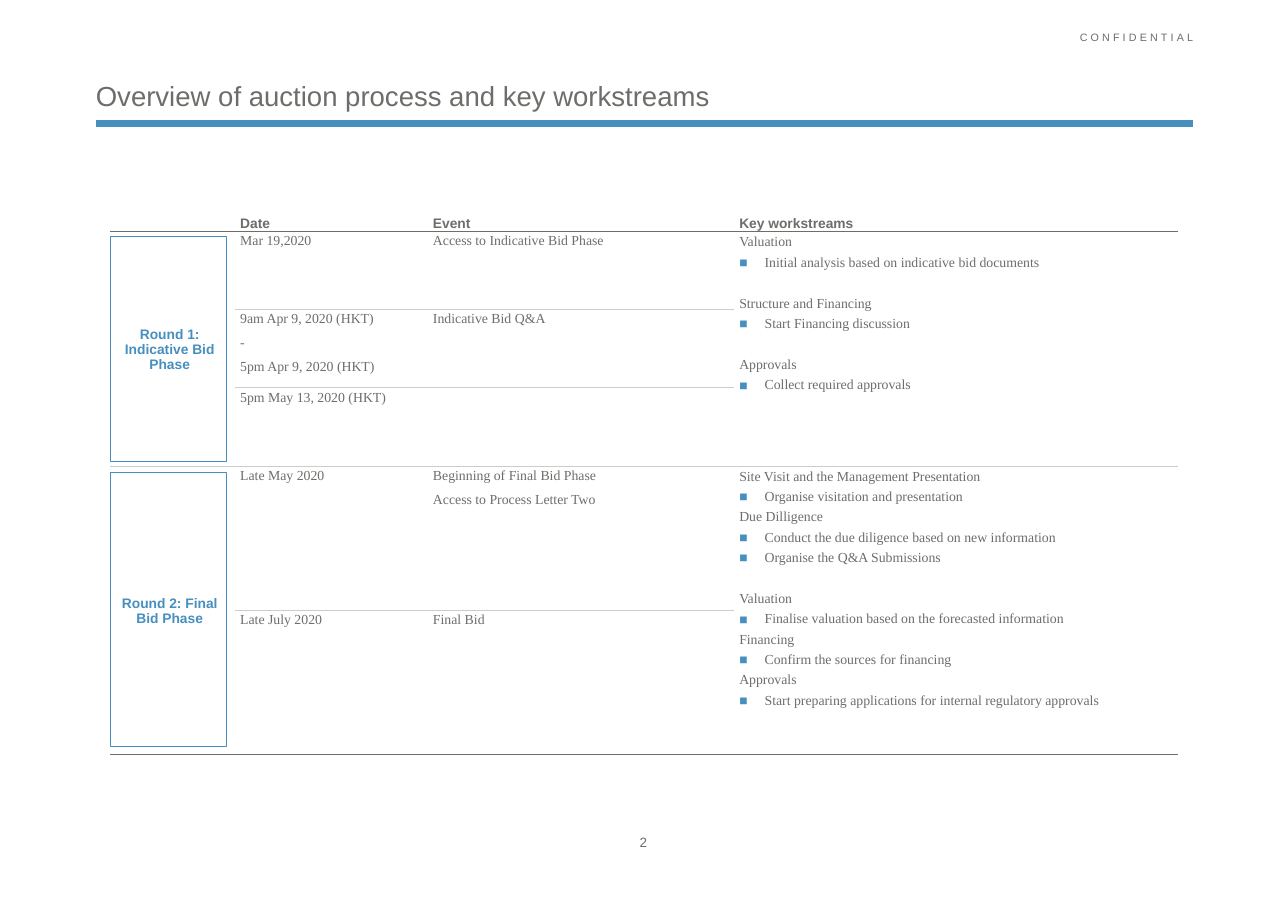
from dataclasses import dataclass

from lxml.etree import SubElement
from pptx import Presentation
from pptx.dml.color import RGBColor
from pptx.enum.shapes import MSO_CONNECTOR as Connector, MSO_SHAPE as Preset
from pptx.enum.text import MSO_ANCHOR as Anchor, MSO_AUTO_SIZE as AutoSize, PP_ALIGN as Align
from pptx.oxml.ns import qn
from pptx.util import Inches, Pt


@dataclass(frozen=True)
class Theme:
    """Colours, fonts and type sizes."""
    text: str = "6D6E6A"
    accent: str = "478FBF"
    rule: str = "CCCDCB"
    sans: str = "Arial"
    serif: str = "Times New Roman"
    title: float = 18
    body: float = 9
    number: float = 8.8
    tag: float = 7
    before: float = 2.6
    after: float = 3
    leading: float = 1.07
    blank_line: float = 13.6


@dataclass(frozen=True)
class Workstream:
    """A workstream heading with its tasks; apart leaves a line above it."""
    heading: str
    tasks: tuple[str, ...]
    apart: bool = False


@dataclass(frozen=True)
class Step:
    """One dated step of a round."""
    dates: tuple[str, ...]
    events: tuple[str, ...] = ()


@dataclass(frozen=True)
class Round:
    """One phase of the auction, with the top and height of its frame."""
    name: str
    steps: tuple[Step, ...]
    workstreams: tuple[Workstream, ...]
    frame_top: float
    frame_height: float


THEME = Theme()
LEFT, TOP = 1, 1.91
COLUMNS = (1.13, 1.75, 2.78, 4.03)
ROWS = (0.19, 0.71, 0.71, 0.71, 1.31, 1.31)
HEADERS = ("", "Date", "Event", "Key workstreams")
ROUNDS = (
    Round("Round 1: Indicative Bid Phase", (
        Step(("Mar 19,2020",), ("Access to Indicative Bid Phase",)),
        Step(("9am Apr 9, 2020 (HKT)", "-", "5pm Apr 9, 2020 (HKT)"), ("Indicative Bid Q&A",)),
        Step(("5pm May 13, 2020 (HKT)",)),
    ), (
        Workstream("Valuation", ("Initial analysis based on indicative bid documents",)),
        Workstream("Structure and Financing", ("Start Financing discussion",), True),
        Workstream("Approvals", ("Collect required approvals",), True),
    ), 2.15, 2.04),
    Round("Round 2: Final Bid Phase", (
        Step(("Late May 2020",), ("Beginning of Final Bid Phase", "Access to Process Letter Two")),
        Step(("Late July 2020",), ("Final Bid",)),
    ), (
        Workstream("Site Visit and the Management Presentation",
                   ("Organise visitation and presentation",)),
        Workstream("Due Dilligence", ("Conduct the due diligence based on new information",
                                      "Organise the Q&A Submissions")),
        Workstream("Valuation", ("Finalise valuation based on the forecasted information",), True),
        Workstream("Financing", ("Confirm the sources for financing",)),
        Workstream("Approvals",
                   ("Start preparing applications for internal regulatory approvals",)),
    ), 4.29, 2.49),
)


def add_span(para, text: str, size: float, font: str, color: str = THEME.text, bold: bool = False):
    """Add one formatted run to a paragraph."""
    span = para.add_run()
    span.text = text
    span.font.size, span.font.name, span.font.bold = Pt(size), font, bold
    span.font.color.rgb = RGBColor.from_string(color)
    return span


def next_para(frame):
    """Return the unused first paragraph of a frame, or a new one."""
    first = frame.paragraphs[0]
    return frame.add_paragraph() if first.runs else first


def clear_insets(frame, anchor) -> None:
    """Remove the insets of a text frame and anchor its text."""
    frame.margin_left = frame.margin_right = frame.margin_top = frame.margin_bottom = 0
    frame.vertical_anchor = anchor
    frame.auto_size = AutoSize.NONE


def add_label(page, at: tuple, text: str, size: float, align, anchor, wrap: bool = True):
    """Add a one-line text box and return its run."""
    box = page.shapes.add_textbox(*map(Inches, at))
    clear_insets(box.text_frame, anchor)
    box.text_frame.word_wrap = wrap
    para = box.text_frame.paragraphs[0]
    para.alignment, para.line_spacing = align, THEME.leading
    return add_span(para, text, size, THEME.sans)


def add_bullet(para) -> None:
    """Give a paragraph a hanging square bullet."""
    props = para._p.get_or_add_pPr()
    props.set("marL", str(Inches(0.23)))
    props.set("indent", str(-Inches(0.23)))
    SubElement(SubElement(props, qn("a:buClr")), qn("a:srgbClr"), val=THEME.accent)
    SubElement(props, qn("a:buFont"), typeface=THEME.sans)
    SubElement(props, qn("a:buChar"), char="■")


def write_lines(cell, lines: tuple[str, ...]) -> None:
    """Write plain table lines into a cell."""
    for line in lines:
        para = next_para(cell.text_frame)
        para.space_before, para.space_after = Pt(THEME.before), Pt(THEME.after)
        add_span(para, line, THEME.body, THEME.serif)


def write_workstreams(cell, workstreams: tuple[Workstream, ...]) -> None:
    """Write headings and bulleted tasks into a cell."""
    for stream in workstreams:
        for index, line in enumerate((stream.heading, *stream.tasks)):
            para = next_para(cell.text_frame)
            para.line_spacing = THEME.leading
            gap = THEME.blank_line if stream.apart and index == 0 else 0
            para.space_before = Pt(THEME.before + gap)
            if index:
                add_bullet(para)
            add_span(para, line, THEME.body, THEME.serif)


def style_cell(cell, rule: str) -> None:
    """Set insets, bottom rule and empty fill of a cell."""
    cell.margin_left, cell.margin_right = Inches(0.05), Inches(0.1)
    cell.margin_top, cell.margin_bottom = Inches(0.02), 0
    line = SubElement(cell._tc.get_or_add_tcPr(), qn("a:lnB"), w=str(Pt(0.5)))
    SubElement(SubElement(line, qn("a:solidFill")), qn("a:srgbClr"), val=rule)
    cell.fill.background()
    para = cell.text_frame.paragraphs[0]
    if not para.runs:
        SubElement(para._p, qn("a:endParaRPr"), sz=str(int(THEME.body * 100)))


def add_schedule(page) -> None:
    """Add the table of rounds, dates, events and workstreams."""
    frame = page.shapes.add_table(len(ROWS), len(COLUMNS), Inches(LEFT), Inches(TOP),
                                  Inches(sum(COLUMNS)), Inches(sum(ROWS)))
    table = frame.table
    table.first_row = table.horz_banding = False
    table._tbl.tblPr.find(qn("a:tableStyleId")).text = "{2D5ABB26-0587-4C30-8999-92F81FD0307C}"
    for column, width in zip(table.columns, COLUMNS):
        column.width = Inches(width)
    for row, height in zip(table.rows, ROWS):
        row.height = Inches(height)
    for col, header in enumerate(HEADERS):
        cell = table.cell(0, col)
        cell.vertical_anchor = Anchor.BOTTOM
        if header:
            add_span(cell.text_frame.paragraphs[0], header, THEME.body, THEME.sans, bold=True)
        style_cell(cell, THEME.text)

    first = 1
    for phase in ROUNDS:
        last = first + len(phase.steps) - 1
        end_rule = THEME.text if last == len(ROWS) - 1 else THEME.rule
        for col in (0, 3):
            table.cell(first, col).merge(table.cell(last, col))
        name_cell = table.cell(first, 0)
        name_cell.vertical_anchor = Anchor.MIDDLE
        para = name_cell.text_frame.paragraphs[0]
        para.alignment = Align.CENTER
        add_span(para, phase.name, THEME.body, THEME.sans, THEME.accent, True)
        write_workstreams(table.cell(first, 3), phase.workstreams)
        for row, step in enumerate(phase.steps, first):
            write_lines(table.cell(row, 1), step.dates)
            write_lines(table.cell(row, 2), step.events)
            for col in range(len(COLUMNS)):
                at_end = row == last or col in (0, 3)
                style_cell(table.cell(row, col), end_rule if at_end else THEME.rule)
        first = last + 1


def add_round_frame(page, phase: Round) -> None:
    """Outline the name of a round."""
    box = page.shapes.add_shape(Preset.RECTANGLE, Inches(LEFT), Inches(phase.frame_top),
                                Inches(1.06), Inches(phase.frame_height))
    box.shadow.inherit = False
    box.fill.background()
    box.line.color.rgb, box.line.width = RGBColor.from_string(THEME.accent), Pt(0.75)


def add_heading(page) -> None:
    """Place the title and the bar below it."""
    bar = page.shapes.add_connector(Connector.STRAIGHT, Inches(0.87), Inches(1.12),
                                    Inches(10.83), Inches(1.12))
    bar.line.color.rgb, bar.line.width = RGBColor.from_string(THEME.accent), Pt(4.5)
    SubElement(bar._element.spPr, qn("a:effectLst"))
    title = page.shapes.title
    title.left, title.top, title.width, title.height = map(Inches, (0.87, 0.27, 9.96, 0.75))
    clear_insets(title.text_frame, Anchor.BOTTOM)
    para = title.text_frame.paragraphs[0]
    para.alignment = Align.LEFT
    add_span(para, "Overview of auction process and key workstreams", THEME.title, THEME.sans)


deck = Presentation()
deck.slide_width, deck.slide_height = Inches(11.69), Inches(8.27)
page = deck.slides.add_slide(deck.slide_layouts[5])
add_heading(page)
tag = add_label(page, (2.98, 0.27, 7.85, 0.24), "CONFIDENTIAL", THEME.tag, Align.RIGHT, Anchor.TOP)
tag.font._element.set("spc", "210")
add_label(page, (5.72, 7.54, 0.24, 0.19), "2", THEME.number, Align.CENTER, Anchor.MIDDLE, False)
add_schedule(page)
for phase in ROUNDS:
    add_round_frame(page, phase)
deck.save("out.pptx")
